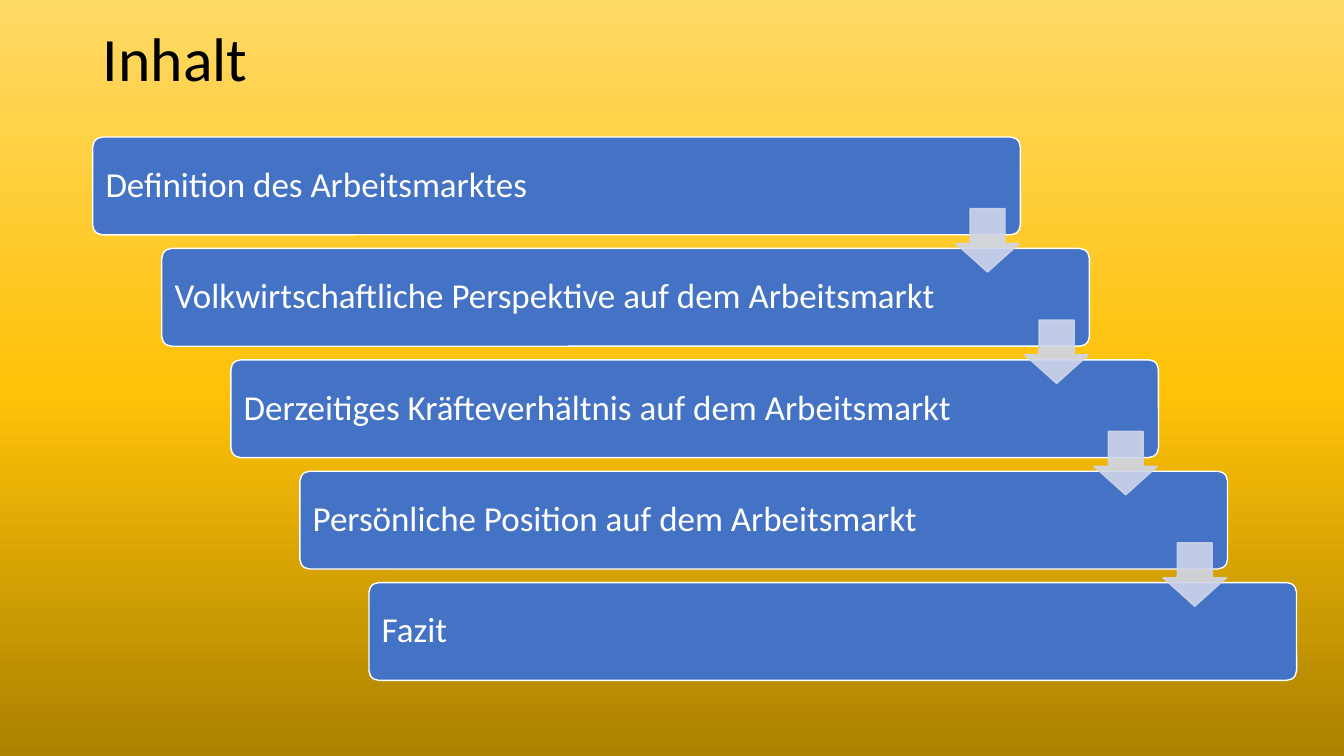
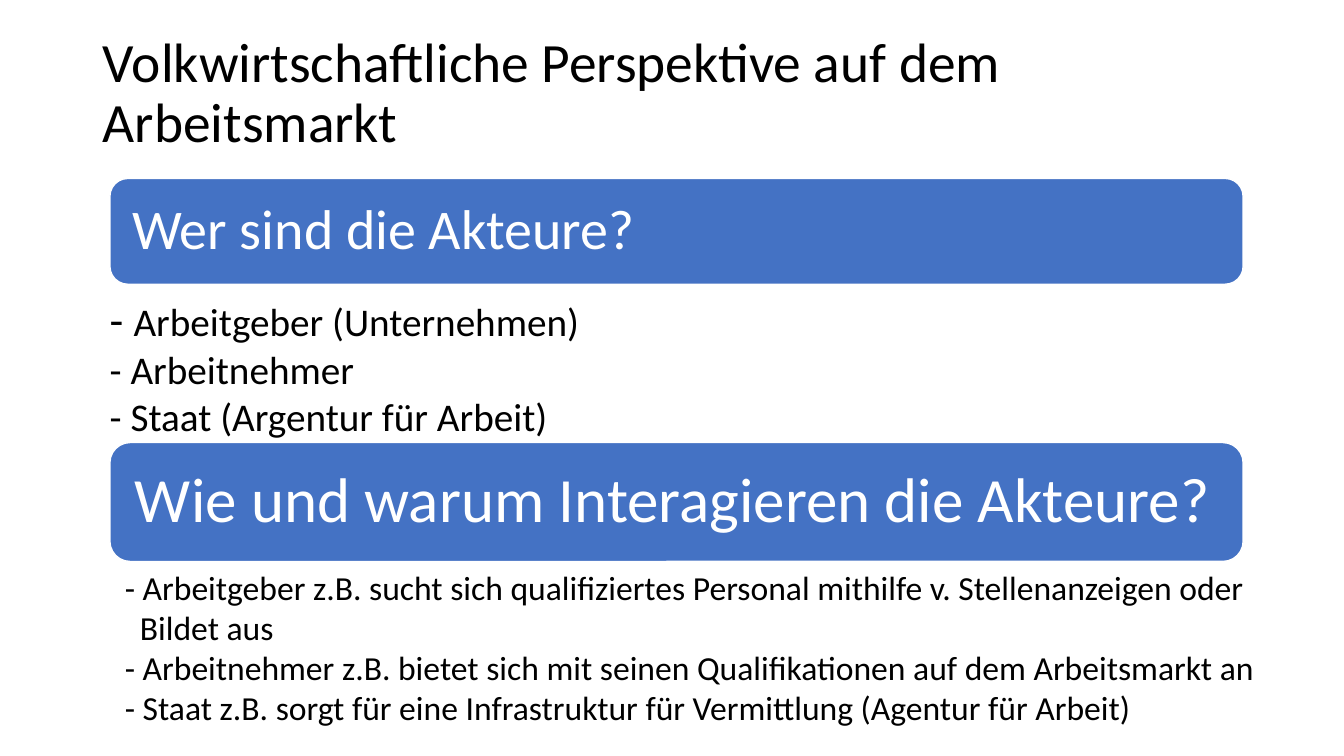
from copy import deepcopy
from pptx import Presentation
from pptx import util as u
from pptx.dml import color
from pptx.enum import shapes, text
from pptx.oxml import ns, xmlchemy as xml

FONT = "Calibri"
BLUE, PALE, WHITE, BLACK = "4472C4", "CFD5EA", "FFFFFF", "000000"
GOLD = [(0, "AB8100"), (0.48, "FFC208"), (1, "FFD966")]
SHAPE = shapes.MSO_SHAPE
MIDDLE = text.MSO_ANCHOR.MIDDLE


def rgb(hue):
    return color.RGBColor.from_string(hue)


def apply(item, form):
    for name, value in form.items():
        setattr(item, name, value)


def place(item, box):
    names = ("left", "top", "width", "height")
    apply(item, dict(zip(names, map(u.Inches, box))))


def write(frame, paras, hue, form=None, lines=None):
    apply(frame, {"word_wrap": True, "auto_size": text.MSO_AUTO_SIZE.NONE,
                  **(form or {})})
    for i, runs in enumerate(paras):
        para = frame.add_paragraph() if i else frame.paragraphs[0]
        apply(para, {"alignment": text.PP_ALIGN.LEFT, **(lines or {})})
        for words, size in runs:
            run = para.add_run()
            run.text = words
            apply(run.font, {"name": FONT, "size": u.Pt(size)})
            run.font.color.rgb = rgb(hue)


def title(slide, box, words, size):
    head = slide.shapes.title
    place(head, box)
    write(head.text_frame, [[(words, size)]], BLACK,
          {"vertical_anchor": MIDDLE}, {"line_spacing": 0.9})


def block(slide, kind, box, fill, edge, *bends):
    item = slide.shapes.add_shape(kind, *map(u.Inches, box))
    item.shadow.inherit = False
    item.fill.solid()
    item.fill.fore_color.rgb = rgb(fill)
    item.line.color.rgb = rgb(edge)
    item.line.width = u.Pt(1)
    for i, bend in enumerate(bends):
        item.adjustments[i] = bend
    return item


def bar(slide, box, words, size, pad, bend):
    item = block(slide, SHAPE.ROUNDED_RECTANGLE, box, BLUE, WHITE, bend)
    write(item.text_frame, [[(words, size)]], WHITE,
          {"vertical_anchor": MIDDLE, "margin_left": u.Inches(pad),
           "margin_right": u.Inches(0.1)}, {"line_spacing": 0.9})


def arrow(slide, box):
    item = block(slide, SHAPE.DOWN_ARROW, box, PALE, PALE, 0.55, 0.45)
    for hue in item.element.spPr.iter(ns.qn("a:srgbClr")):
        alpha = xml.OxmlElement("a:alpha")
        alpha.set("val", "90000")
        hue.append(alpha)


def stairs(slide, box, steps):
    left, top, width, height = box
    wide, high, side = 9.2, 0.97, 0.63
    gaps = len(steps) - 1
    dx, dy = (width - wide) / gaps, (height - high) / gaps
    spots = [(left + i * dx, top + i * dy) for i in range(len(steps))]
    for (x, y), words in zip(spots, steps):
        bar(slide, (x, y, wide, high), words, 25, 0.1, 0.1)
    for x, y in spots[:-1]:
        arrow(slide, (x + wide - side - 0.01, y + 0.71, side, side))


def notes(slide, box, paras, hang=0):
    area = slide.shapes.add_textbox(*map(u.Inches, box))
    write(area.text_frame, paras, BLACK)
    if hang:
        for para in area.text_frame.paragraphs:
            props = para._p.get_or_add_pPr()
            props.set("marL", str(u.Inches(hang)))
            props.set("indent", str(-u.Inches(hang)))


def shade(slide):
    fill = slide.background.fill
    fill.gradient()
    fill.gradient_angle = 90
    stops = next(slide.element.iter(ns.qn("a:gsLst")))
    stops.append(deepcopy(stops[0]))
    for stop, (spot, hue) in zip(fill.gradient_stops, GOLD):
        stop.position = spot
        stop.color.rgb = rgb(hue)


def agenda(slide):
    shade(slide)
    title(slide, (0.92, 0.02, 10.63, 1.18), "Inhalt", 44)
    stairs(slide, (0.92, 1.36, 11.94, 5.39), [
        "Definition des Arbeitsmarktes",
        "Volkwirtschaftliche Perspektive auf dem Arbeitsmarkt",
        "Derzeitiges Kräfteverhältnis auf dem Arbeitsmarkt",
        "Persönliche Position auf dem Arbeitsmarkt",
        "Fazit"])


def actors(slide):
    title(slide, (0.92, 0.4, 11.53, 1.07),
          "Volkwirtschaftliche Perspektive auf dem Arbeitsmarkt", 39.6)
    left, wide = 1.09, 11.24
    bar(slide, (left, 1.77, wide, 1.05), "Wer sind die Akteure?",
        40, 0.17, 0.17)
    bar(slide, (left, 4.39, wide, 1.18),
        "Wie und warum Interagieren die Akteure?", 45, 0.19, 0.17)
    notes(slide, (0.99, 2.84, 11.2, 2.12), [
        [("- ", 32), ("Arbeitgeber (Unternehmen)", 28)],
        [("- Arbeitnehmer", 28)],
        [("- Staat (Argentur für Arbeit)", 28)]])
    deeds = [
        "- Arbeitgeber z.B. sucht sich qualifiziertes Personal mithilfe v. "
        "Stellenanzeigen oder Bildet aus",
        "- Arbeitnehmer z.B. bietet sich mit seinen Qualifikationen "
        "auf dem Arbeitsmarkt an",
        "- Staat z.B. sorgt für eine Infrastruktur für Vermittlung "
        "(Agentur für Arbeit)"]
    notes(slide, (1.14, 5.57, 11.4, 1.72),
          [[(words, 24)] for words in deeds], 0.15)


def main():
    deck = Presentation()
    apply(deck, {"slide_width": u.Inches(13.33),
                 "slide_height": u.Inches(7.5)})
    for build in (agenda, actors):
        build(deck.slides.add_slide(deck.slide_layouts[5]))
    deck.save("out.pptx")


if __name__ == "__main__":
    main()
